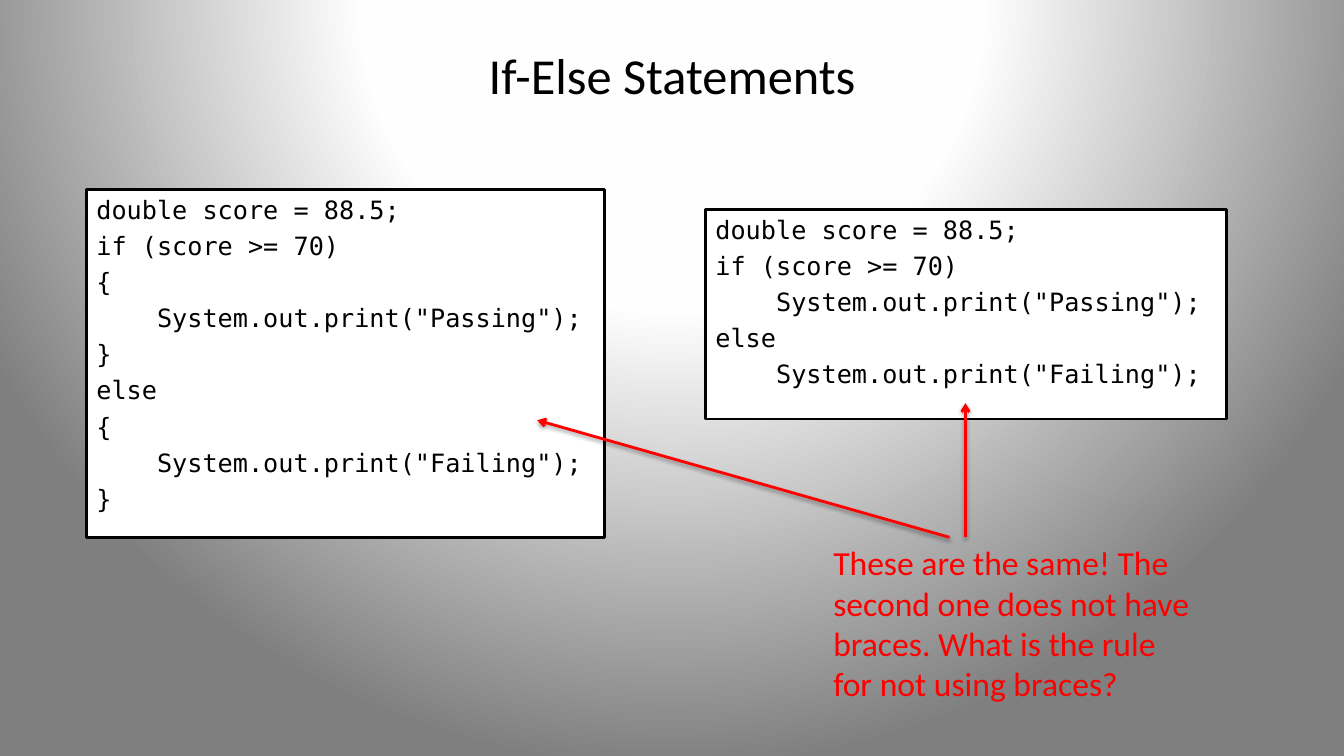
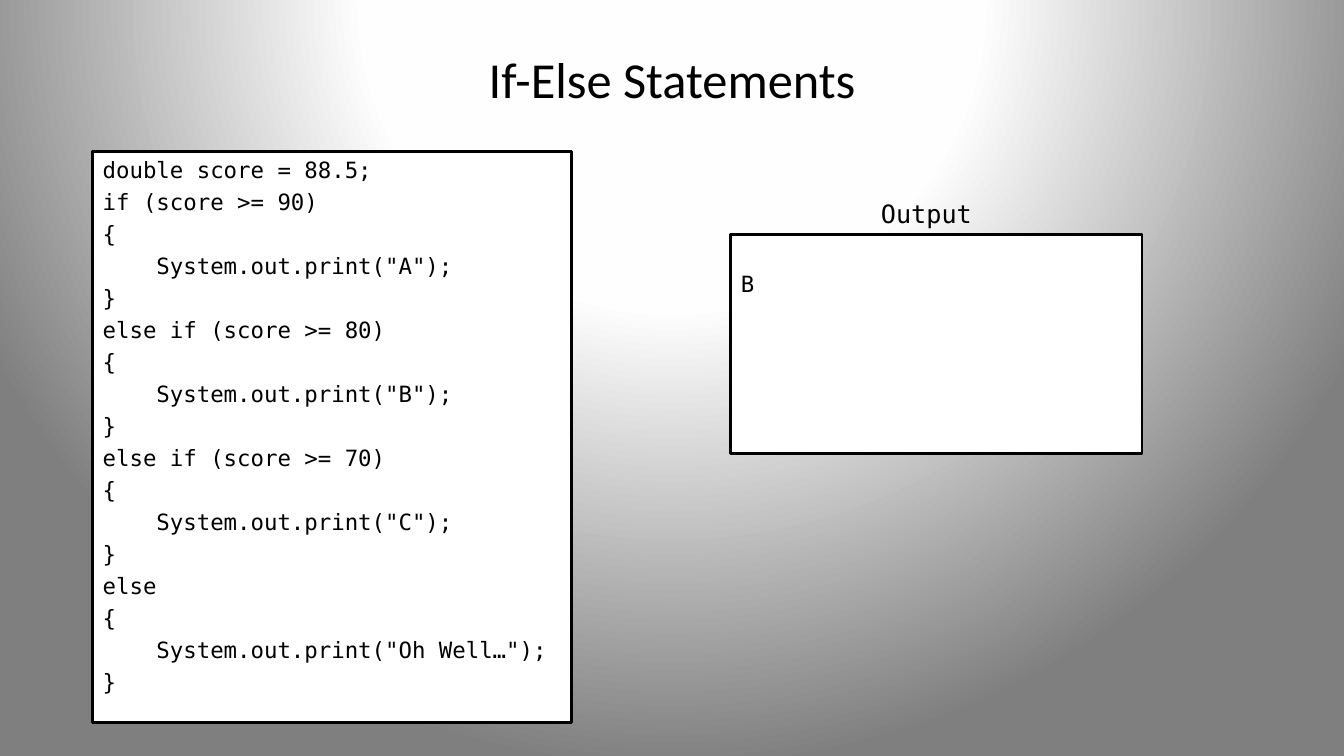
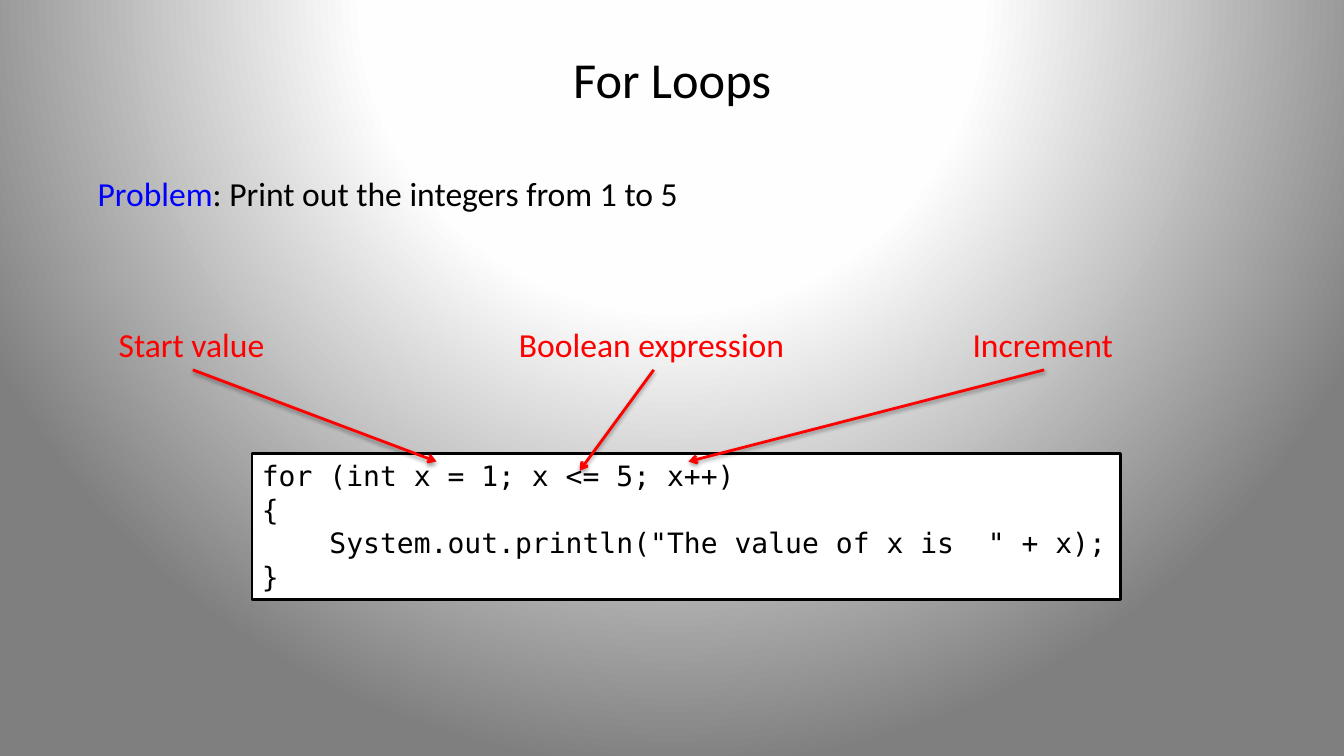
from lxml.etree import SubElement
from pptx import Presentation
from pptx.dml.color import RGBColor
from pptx.enum.shapes import MSO_CONNECTOR, MSO_SHAPE
from pptx.enum.text import MSO_ANCHOR, PP_ALIGN
from pptx.oxml import parse_xml
from pptx.oxml.ns import nsdecls, qn
from pptx.util import Cm, Pt

BLACK = RGBColor(0x00, 0x00, 0x00)
WHITE = RGBColor(0xFF, 0xFF, 0xFF)
RED = RGBColor(0xFF, 0x00, 0x00)
BLUE = RGBColor(0x00, 0x00, 0xFF)
BODY_FONT, CODE_FONT = "Calibri", "DejaVu Sans Mono"
BACKDROP = [(0, "FFFFFF"), (40, "FEFEFE"), (100, "7F7F7F")]
LABEL_TOP, LABEL_HEIGHT = 8.05, 1.27

BRACED = """double score = 88.5;
if (score >= 70)
{
    System.out.print("Passing");
}
else
{
    System.out.print("Failing");
}"""

UNBRACED = """double score = 88.5;
if (score >= 70)
    System.out.print("Passing");
else
    System.out.print("Failing");"""

GRADES = """double score = 88.5;
if (score >= 90)
{
    System.out.print("A");
}
else if (score >= 80)
{
    System.out.print("B");
}
else if (score >= 70)
{
    System.out.print("C");
}
else
{
    System.out.print("Oh Well…");
}"""

LOOP = """for (int x = 1; x <= 5; x++)
{
    System.out.println("The value of x is  " + x);
}"""

REMARK = """These are the same! The
second one does not have
braces. What is the rule
for not using braces?"""

LOOP_PARTS = [
    ("Start value", 2.74, 4.24, (11, 11.63)),
    ("Boolean expression", 12.83, 7.29, (14.61, 11.86)),
    ("Increment", 24.26, 4.11, (17.35, 11.63)),
]


def set_backdrop(master):
    fill = master.background.fill
    fill.gradient()
    stops = "".join(
        f'<a:gs pos="{pos * 1000}"><a:srgbClr val="{color}"/></a:gs>'
        for pos, color in BACKDROP)
    grad = parse_xml(
        f'<a:gradFill {nsdecls("a")} rotWithShape="1"><a:gsLst>{stops}</a:gsLst>'
        '<a:path path="circle"><a:fillToRect l="50000" t="-80000" r="50000" '
        'b="180000"/></a:path></a:gradFill>')
    old = next(master.element.iter(qn("a:gradFill")))
    old.getparent().replace(old, grad)


def style(p, size, color=BLACK, name=BODY_FONT):
    p.font.size = Pt(size)
    p.font.name = name
    p.font.color.rgb = color


def add_text(s, text, box, size=24, color=BLACK, name=BODY_FONT):
    tf = s.shapes.add_textbox(*map(Cm, box)).text_frame
    tf.word_wrap = False
    p = tf.paragraphs[0]
    p.text = text
    style(p, size, color, name)
    return tf


def add_slide(prs, title, height=2.41):
    s = prs.slides.add_slide(prs.slide_layouts[6])
    tf = add_text(s, title, (1.7, 0.76, 30.48, height), 36)
    tf.word_wrap = True
    tf.vertical_anchor = MSO_ANCHOR.MIDDLE
    tf.paragraphs[0].alignment = PP_ALIGN.CENTER
    return s


def add_code(s, code, box, size, gap=0.23):
    sp = s.shapes.add_shape(MSO_SHAPE.RECTANGLE, *map(Cm, box))
    sp.shadow.inherit = False
    sp.fill.solid()
    sp.fill.fore_color.rgb = WHITE
    sp.line.color.rgb = BLACK
    sp.line.width = Pt(2)
    tf = sp.text_frame
    tf.word_wrap = True
    tf.vertical_anchor = MSO_ANCHOR.TOP
    tf.text = code
    for i, p in enumerate(tf.paragraphs):
        p.alignment = PP_ALIGN.LEFT
        if i:
            p.space_before = Pt(gap * size)
        style(p, size, name=CODE_FONT)
    return tf


def add_arrow(s, start, end):
    line = s.shapes.add_connector(MSO_CONNECTOR.STRAIGHT, *map(Cm, start + end))
    line.line.color.rgb = RED
    line.line.width = Pt(2)
    SubElement(line.line._get_or_add_ln(), qn("a:tailEnd"), type="arrow")
    line._element.spPr.append(parse_xml(
        f'<a:effectLst {nsdecls("a")}><a:outerShdw blurRad="40000" dist="20000" '
        'dir="5400000" rotWithShape="0"><a:srgbClr val="000000">'
        '<a:alpha val="38000"/></a:srgbClr></a:outerShdw></a:effectLst>'))


def braces_slide(prs):
    s = add_slide(prs, "If-Else Statements", 2.21)
    add_code(s, BRACED, (2.18, 4.78, 13.06, 8.76), 18)
    add_code(s, UNBRACED, (17.78, 5.28, 13.13, 5.28), 18)
    add_text(s, REMARK, (20.75, 13.54, 9.6, 4.37), color=RED)
    add_arrow(s, (24.33, 13.54), (24.33, 10.16))
    add_arrow(s, (23.93, 13.54), (13.54, 10.59))


def grades_slide(prs):
    s = add_slide(prs, "If-Else Statements")
    add_code(s, GRADES, (2.34, 3.81, 12.07, 14.4), 16)
    tf = add_code(s, "B", (18.42, 5.92, 10.36, 5.51), 16)
    tf.margin_top = Cm(0.9)
    add_text(s, "Output", (21.95, 4.88, 2.82, 1.02), 18, name=CODE_FONT)


def loop_slide(prs):
    s = add_slide(prs, "For Loops")
    tf = add_text(s, "Problem", (2.21, 4.22, 15.37, 1.27))
    p = tf.paragraphs[0]
    p.runs[0].font.color.rgb = BLUE
    r = p.add_run()
    r.text = ": Print out the integers from 1 to 5"
    add_code(s, LOOP, (6.35, 11.43, 21.89, 3.68), 20, gap=0)
    for text, left, width, tip in LOOP_PARTS:
        add_text(s, text, (left, LABEL_TOP, width, LABEL_HEIGHT), color=RED)
        add_arrow(s, (left + width / 2, LABEL_TOP + LABEL_HEIGHT), tip)


def main():
    prs = Presentation()
    prs.slide_width, prs.slide_height = Cm(33.87), Cm(19.05)
    set_backdrop(prs.slide_master)
    braces_slide(prs)
    grades_slide(prs)
    loop_slide(prs)
    prs.save("out.pptx")


if __name__ == "__main__":
    main()
